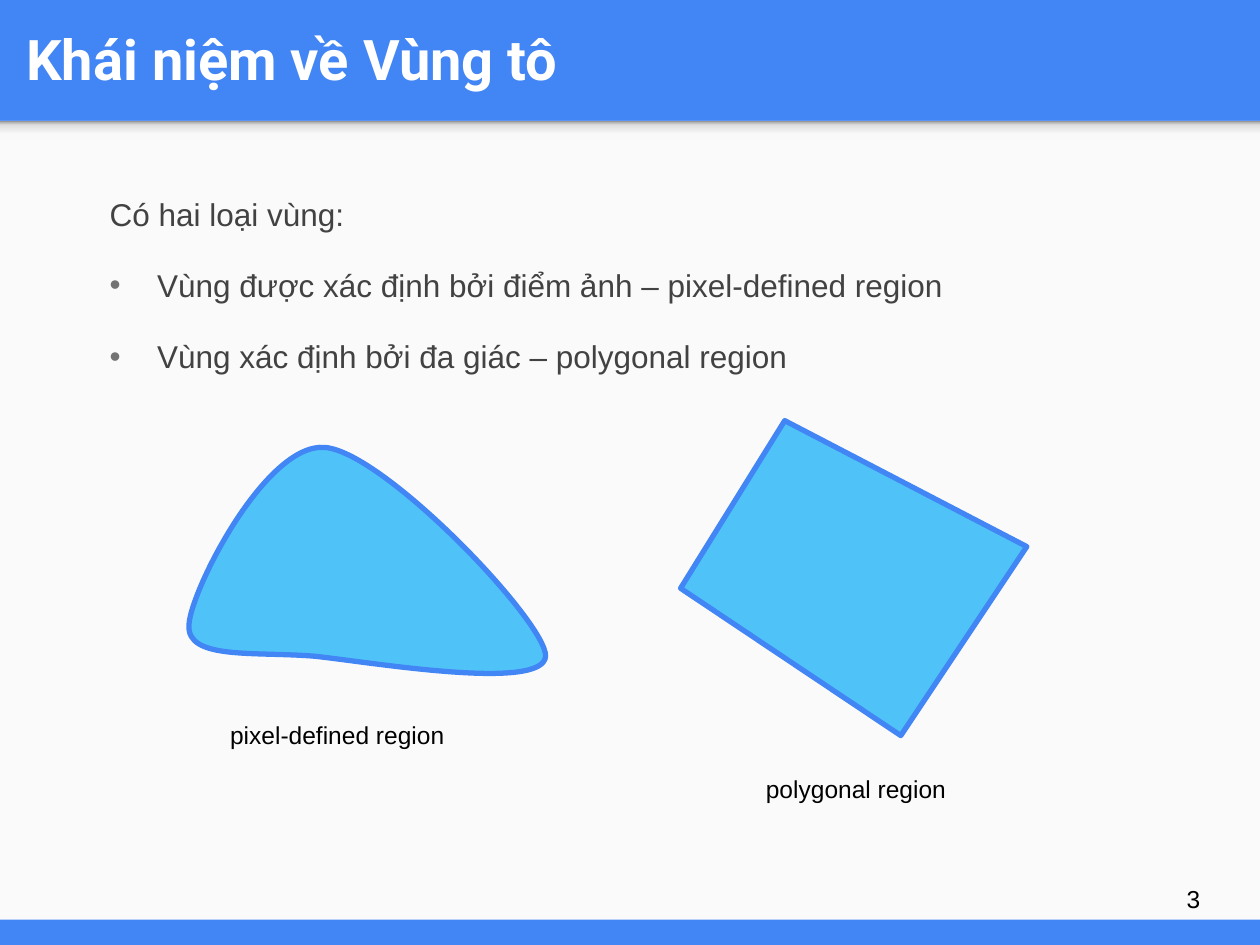
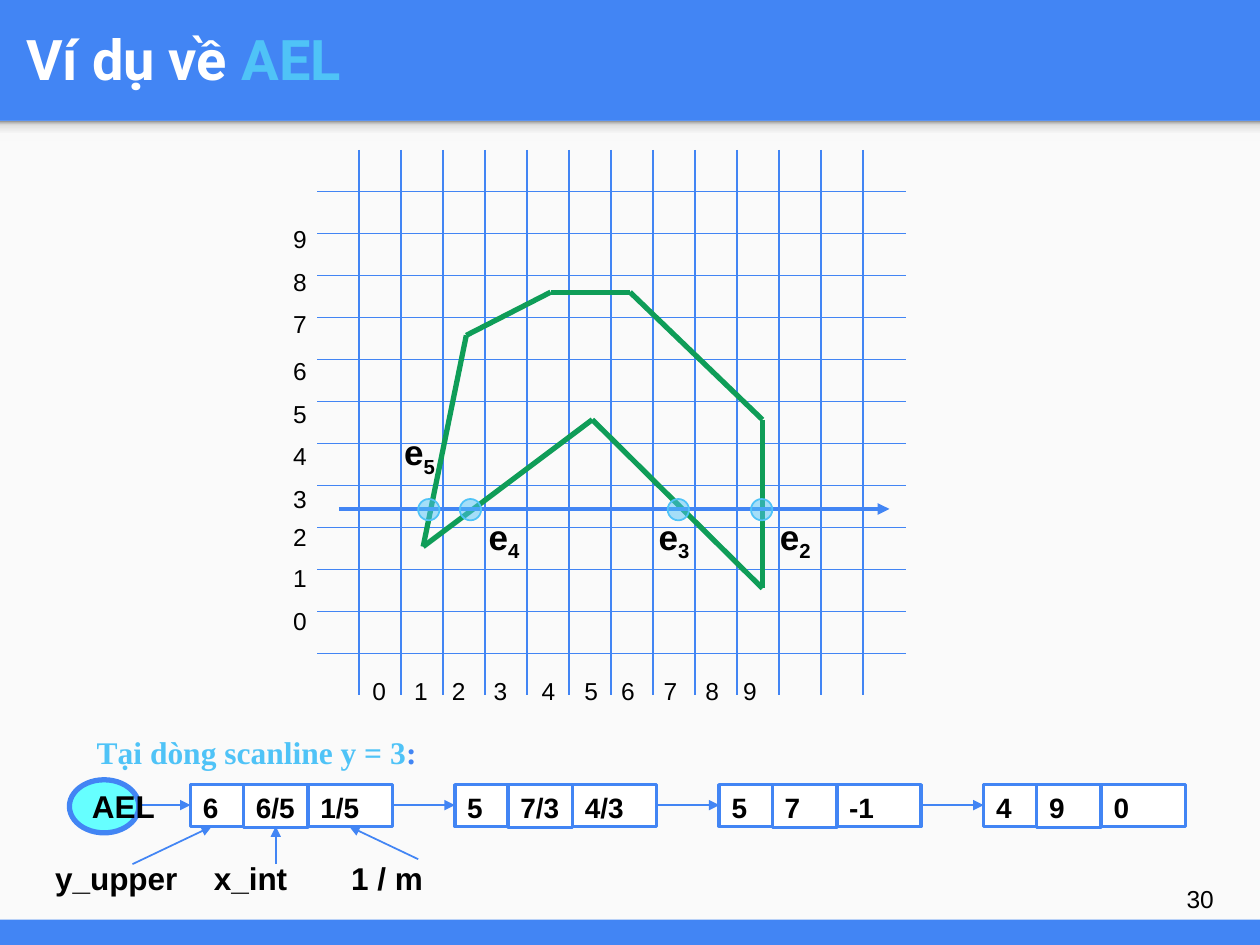
"""Build two slides on region filling: kinds of region and an active edge list."""
from itertools import pairwise

from lxml.etree import SubElement
from pptx import Presentation
from pptx.dml.color import RGBColor
from pptx.enum.shapes import MSO_CONNECTOR, MSO_SHAPE
from pptx.enum.text import MSO_ANCHOR, MSO_AUTO_SIZE, PP_ALIGN
from pptx.oxml.ns import qn
from pptx.util import Cm, Pt

COLORS = {
    "blue": "4285F4", "sky": "4FC3F7", "paper": "FAFAFA", "white": "FFFFFF",
    "black": "000000", "text": "424242", "bullet": "737373", "green": "0F9D58",
    "cyan": "66FFFF",
}
SHADE = {0: "F9F9F9", 36: "F9F9F9", 80: "DEDEDE", 100: "999999"}
TITLE = {"name": "Roboto", "size": Pt(32), "bold": True, "color": "white"}
BODY = {"name": "Arial", "size": Pt(18), "color": "text"}
SMALL = {"name": "Arial", "size": Pt(14), "color": "black"}
CELL = {"name": "Arial", "size": Pt(16), "bold": True, "color": "black"}
FIELD = {**CELL, "size": Pt(18)}
EDGE = {**CELL, "size": Pt(20)}
HEADING = {"name": "Times New Roman", "size": Pt(18), "bold": True, "color": "sky"}
ROOMY = {f"margin_{side}": Cm(0.25) for side in ("left", "top", "right", "bottom")}
MIDDLE = {**ROOMY, "vertical_anchor": MSO_ANCHOR.MIDDLE}


def write(shape, lines, style, frame_format=None):
    frame = shape.text_frame
    defaults = {"word_wrap": True, "auto_size": MSO_AUTO_SIZE.NONE,
                "vertical_anchor": MSO_ANCHOR.TOP}
    for name, value in {**defaults, **(frame_format or {})}.items():
        setattr(frame, name, value)
    for number, pieces in enumerate(lines):
        paragraph = frame.add_paragraph() if number else frame.paragraphs[0]
        paragraph.alignment = PP_ALIGN.LEFT
        for piece in pieces:
            run = paragraph.add_run()
            run.text = piece
            for name, value in style.items():
                if name == "color":
                    run.font.color.rgb = RGBColor.from_string(COLORS[value])
                else:
                    setattr(run.font, name, value)
    return frame.paragraphs


def connect(slide, start, end, color, width, arrow=False):
    connector = slide.shapes.add_connector(
        MSO_CONNECTOR.STRAIGHT, *map(Cm, (*start, *end)))
    connector.line.color.rgb = RGBColor.from_string(COLORS[color])
    connector.line.width = Pt(width)
    properties = connector._element.spPr
    if arrow:
        SubElement(properties.find(qn("a:ln")), qn("a:tailEnd"), type="triangle")
    SubElement(properties, qn("a:effectLst"))


presentation = Presentation()
presentation.slide_width, presentation.slide_height = Cm(25.4), Cm(19.05)
painted = []
labels = []
slides = []
titles = []

for title_pieces, page in ((["Khái niệm về Vùng tô"], "3"), (["Ví dụ về ", "AEL"], "30")):
    slide = presentation.slides.add_slide(presentation.slide_layouts[5])
    slide.background.fill.solid()
    slide.background.fill.fore_color.rgb = RGBColor.from_string(COLORS["blue"])
    panel = slide.shapes.add_shape(MSO_SHAPE.RECTANGLE, *map(Cm, (0, 2.44, 25.4, 16.1)))
    painted.append((panel, "paper", None, 0))
    band_shadow = slide.shapes.add_shape(
        MSO_SHAPE.RECTANGLE, *map(Cm, (0, 2.44, 25.4, 0.41)))
    band_shadow.shadow.inherit = False
    band_shadow.line.fill.background()
    band_shadow.fill.gradient()
    band_shadow.fill.gradient_angle = 90
    stops = band_shadow._element.spPr.find(f".//{qn('a:gsLst')}")
    stops.clear()
    for position, shade in SHADE.items():
        stop = SubElement(stops, qn("a:gs"), pos=str(position * 1000))
        SubElement(stop, qn("a:srgbClr"), val=shade)
    title = slide.shapes.title
    title.left, title.top, title.width, title.height = map(Cm, (0.28, 0.05, 24.51, 2.24))
    titles.append(write(title, [title_pieces], TITLE, MIDDLE)[0])
    page_number = slide.shapes.add_textbox(*map(Cm, (23.67, 17.4, 1.52, 1.45)))
    write(page_number, [[page]], SMALL, MIDDLE)
    slides.append(slide)

regions, example = slides
titles[1].runs[1].font.color.rgb = RGBColor.from_string(COLORS["sky"])

region_kinds = regions.shapes.add_textbox(*map(Cm, (1.96, 3.56, 22.83, 10.03)))
kind_lines = write(region_kinds, [
    ["Có hai loại vùng:"],
    ["Vùng được xác định bởi điểm ảnh – pixel-defined region"],
    ["Vùng xác định bởi đa giác – polygonal region"],
], BODY, ROOMY)
for line in kind_lines:
    line.line_spacing = 1.15
    line.space_after = Pt(16)
for line in kind_lines[1:]:
    properties = line._p.get_or_add_pPr()
    properties.set("marL", str(Cm(0.96)))
    properties.set("indent", str(-Cm(0.96)))
    bullet_color = SubElement(properties, qn("a:buClr"))
    SubElement(bullet_color, qn("a:srgbClr"), val=COLORS["bullet"])
    SubElement(properties, qn("a:buFont"), typeface="Arial")
    SubElement(properties, qn("a:buChar"), char="•")

blob_points = [
    (6.35, 13.23), (7.54, 13.36), (10.95, 13.94), (11, 13.23),
    (11.02, 12.55), (7.75, 9.12), (6.55, 9.02),
    (5.36, 8.92), (3.84, 11.91), (3.81, 12.6),
    (3.76, 13.31), (5.13, 13.13), (6.35, 13.23),
]
polygon_points = [(13.72, 11.86), (18.16, 14.83), (20.7, 11.02), (15.82, 8.48)]
outlines = []
for points in (blob_points, polygon_points):
    corners = [(Cm(x), Cm(y)) for x, y in points]
    builder = regions.shapes.build_freeform(*corners[0])
    builder.add_line_segments(corners[1:], close=True)
    outlines.append(builder.convert_to_shape())
    painted.append((outlines[-1], "sky", "blue", 3))
contour = outlines[0]._element.find(f".//{qn('a:path')}")
segments = contour.findall(qn("a:lnTo"))
for first in range(0, 12, 3):
    curve = SubElement(contour, qn("a:cubicBezTo"))
    for segment in segments[first:first + 3]:
        curve.append(segment[0])
for segment in segments:
    contour.remove(segment)
contour.append(contour.find(qn("a:close")))

labels += [
    (regions, (4.39, 14.4, 6.99, 0.86), ["pixel-defined region"], SMALL),
    (regions, (15.19, 15.47, 5.92, 0.86), ["polygonal region"], SMALL),
]

pitch = 2.54 / 3
for row in range(12):
    y = 3.86 + row * pitch
    connect(example, (6.4, y), (18.26, y), "blue", 1)
for column in range(13):
    x = 7.24 + column * pitch
    connect(example, (x, 3.02), (x, 14.02), "blue", 1)

x_label_lefts = (7.26, 8.1, 8.86, 9.7, 10.67, 11.53, 12.27, 13.13, 13.97, 14.73)
y_label_tops = (12.09, 11.23, 10.39, 9.63, 8.76, 7.92, 7.06, 6.1, 5.26, 4.39)
for value, (left, top) in enumerate(zip(x_label_lefts, y_label_tops)):
    labels += [
        (example, (left, 13.51, 1.07, 1.27), [str(value)], SMALL),
        (example, (5.66, top, 1.07, 1.27), [str(value)], SMALL),
    ]

vertices = [
    (12.7, 5.89), (15.37, 8.46), (15.37, 11.86), (11.94, 8.46),
    (8.53, 11.02), (9.4, 6.76), (11.1, 5.89),
]
for start, end in pairwise(vertices + vertices[:1]):
    connect(example, start, end, "green", 3)
connect(example, (6.83, 10.26), (17.93, 10.26), "blue", 2.25, arrow=True)

crossings = []
for left in (8.43, 9.27, 13.46, 15.14):
    crossing = example.shapes.add_shape(
        MSO_SHAPE.OVAL, *map(Cm, (left, 10.06, 0.43, 0.43)))
    crossings.append(crossing)
    painted.append((crossing, "sky", "sky", 1))

for index, left, top in (("2", 15.47, 10.26), ("3", 13.03, 10.26),
                         ("4", 9.6, 10.26), ("5", 7.9, 8.56)):
    edge_name = example.shapes.add_textbox(*map(Cm, (left, top, 1.27, 1.09)))
    subscript = write(edge_name, [["e", index]], EDGE)[0].runs[1]
    subscript._r.get_or_add_rPr().set("baseline", "-25000")

scanline_heading = example.shapes.add_textbox(*map(Cm, (1.7, 14.66, 22.2, 1.17)))
heading = write(scanline_heading, [["Tại dòng scanline y = 3", ":"]], HEADING)[0]
heading.runs[1].font.color.rgb = RGBColor.from_string(COLORS["blue"])

records = (("6", "6/5", "1/5"), ("5", "7/3", "4/3"), ("5", "7", "-1"), ("4", "9", "0"))
cell_layout = ((0, 1.07, 0.84), (1.07, 1.3, 0.86), (2.37, 1.7, 0.84))
for position, record in enumerate(records):
    left = 3.84 + position * 5.33
    connect(example, (left - 1.27, 16.23), (left, 16.23), "blue", 1.5, arrow=True)
    for value, (offset, width, height) in zip(record, cell_layout):
        cell = example.shapes.add_shape(
            MSO_SHAPE.RECTANGLE, *map(Cm, (left + offset, 15.82, width, height)))
        write(cell, [[value]], CELL, {"margin_right": 0})
        painted.append((cell, "white", "blue", 2))

list_head = example.shapes.add_shape(MSO_SHAPE.OVAL, *map(Cm, (1.4, 15.72, 1.4, 1.07)))
write(list_head, [["AEL"]], FIELD,
      {"word_wrap": False, "vertical_anchor": MSO_ANCHOR.MIDDLE})
painted.append((list_head, "cyan", "blue", 3))

for field, left, start, end in (
    ("y_upper", 0.86, (2.67, 17.42), (4.27, 16.66)),
    ("x_int", 4.06, (5.56, 17.42), (5.56, 16.66)),
    ("1 / m", 6.83, (8.43, 17.32), (7.04, 16.66)),
):
    labels.append((example, (left, 17.2, 3.3, 1.02), [field], FIELD))
    connect(example, start, end, "blue", 1, arrow=True)

for slide, box, pieces, style in labels:
    write(slide.shapes.add_textbox(*map(Cm, box)), [pieces], style)

for shape, fill, outline, width in painted:
    shape.shadow.inherit = False
    shape.fill.solid()
    shape.fill.fore_color.rgb = RGBColor.from_string(COLORS[fill])
    if outline:
        shape.line.color.rgb = RGBColor.from_string(COLORS[outline])
        shape.line.width = Pt(width)
    else:
        shape.line.fill.background()

for crossing in crossings:
    tint = crossing._element.spPr.find(f"{qn('a:solidFill')}/{qn('a:srgbClr')}")
    SubElement(tint, qn("a:alpha"), val="50000")

presentation.save("out.pptx")
